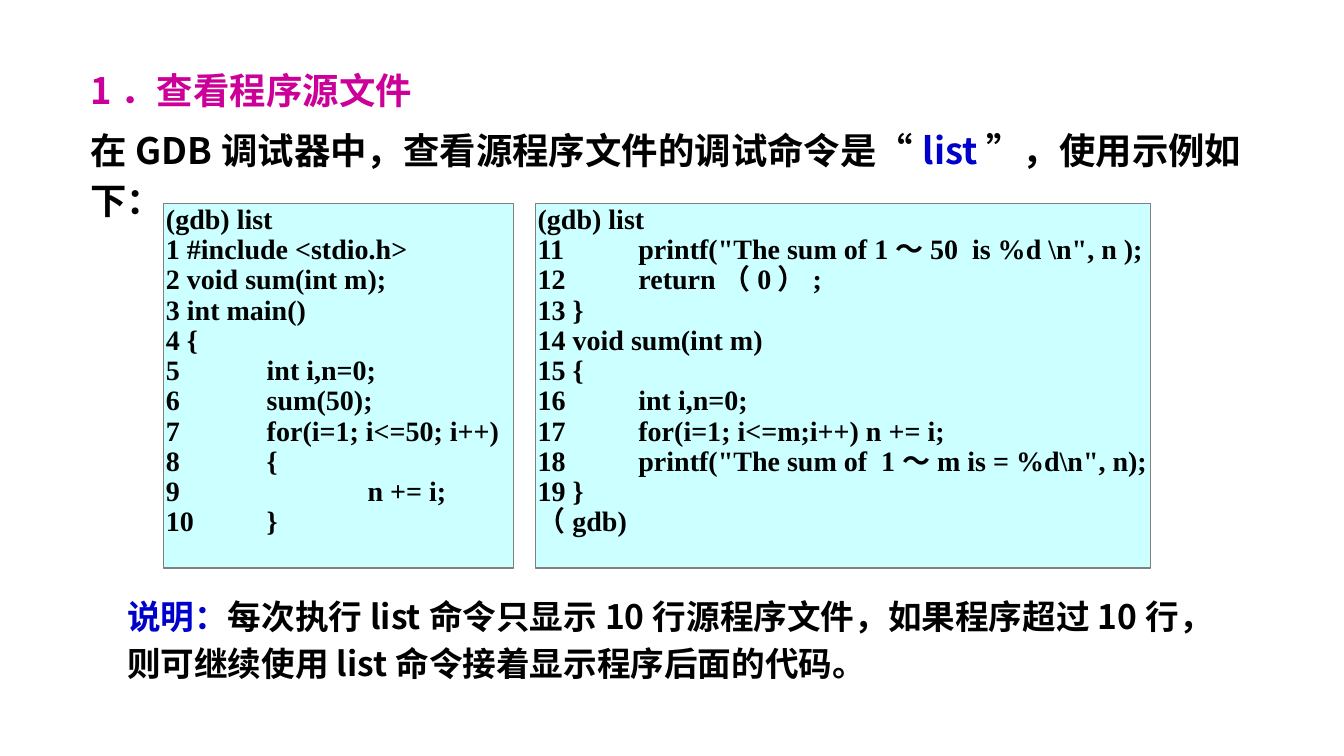
import pptx
import pptx.util
import pptx.dml.color
import pptx.enum.shapes
import pptx.enum.text
import pptx.oxml.ns
from lxml import etree

BLACK, BLUE, MAGENTA = "000000", "0000CC", "CC0099"
SANS, SERIF = "Noto Sans CJK SC", "Times New Roman"
HEADING = [
    [("1．查看程序源文件", MAGENTA)],
    [("在GDB调试器中，查看源程序文件的调试命令是“", BLACK), ("list", BLUE),
     ("”，使用示例如下：", BLACK)],
]
NOTE = [
    [("说明：", BLUE),
     ("每次执行list命令只显示10行源程序文件，如果程序超过10行，则可继续使用list命令接着显示程序后面的代码。", BLACK)],
]
LISTINGS = [
    ((156, 194, 333, 347), [
        "(gdb) list",
        "1 #include <stdio.h>",
        "2 void sum(int m);",
        "3 int main()",
        "4 {",
        "5 \tint i,n=0;",
        "6 \tsum(50);",
        "7 \tfor(i=1; i<=50; i++)",
        "8 \t{",
        "9 \t\tn += i;",
        "10 \t}",
    ]),
    ((510, 194, 586, 347), [
        "(gdb) list",
        "11 \tprintf(\"The sum of 1～50  is %d \\n\", n );",
        "12\treturn（0）;",
        "13 }",
        "14 void sum(int m)",
        "15 {",
        "16 \tint i,n=0;",
        "17 \tfor(i=1; i<=m;i++) n += i;",
        "18 \tprintf(\"The sum of  1～m is = %d\\n\", n);",
        "19 }",
        "（gdb)",
    ]),
]
TAB_STOPS = (96, 192)
HEADING_STYLE = {"font": SANS, "size": 26, "spacing": 1.15, "gap": 6.5,
                 "insets": (10, 5, 10, 5)}
NOTE_STYLE = {"font": SANS, "size": 24, "spacing": 1.15, "gap": 6,
              "insets": (10, 5, 10, 5)}
CODE_STYLE = {"font": SERIF, "size": 20, "spacing": 0.9, "gap": 0,
              "insets": (2, 1, 2, 1)}


def px(n):
    return pptx.util.Emu(n * 9525)


def rgb(value):
    return pptx.dml.color.RGBColor.from_string(value)


def assign(target, values):
    for name, value in values.items():
        setattr(target, name, value)


def place(sp, box):
    assign(sp, dict(zip(("left", "top", "width", "height"), map(px, box))))


def add_tabs(p):
    tabs = etree.SubElement(p._p.get_or_add_pPr(), pptx.oxml.ns.qn("a:tabLst"))
    for stop in TAB_STOPS:
        tab = etree.SubElement(tabs, pptx.oxml.ns.qn("a:tab"))
        tab.set("pos", str(px(stop)))
        tab.set("algn", "l")


def write(sp, paragraphs, style):
    tf, size = sp.text_frame, style["size"]
    assign(tf, {
        "word_wrap": True,
        "auto_size": pptx.enum.text.MSO_AUTO_SIZE.NONE,
        "vertical_anchor": pptx.enum.text.MSO_ANCHOR.TOP,
    })
    sides = ("margin_left", "margin_top", "margin_right", "margin_bottom")
    assign(tf, dict(zip(sides, map(px, style["insets"]))))
    for i, runs in enumerate(paragraphs):
        p = tf.add_paragraph() if i else tf.paragraphs[0]
        assign(p, {
            "alignment": pptx.enum.text.PP_ALIGN.LEFT,
            "line_spacing": pptx.util.Pt(size * 1.2 * style["spacing"]),
            "space_before": pptx.util.Pt(style["gap"] if i else 0),
        })
        if any("\t" in text for text, color in runs):
            add_tabs(p)
        for text, color in runs:
            r = p.add_run()
            r.text = text
            assign(r.font, {"name": style["font"], "size": pptx.util.Pt(size), "bold": True})
            r.font.color.rgb = rgb(color)
            ea = etree.SubElement(r.font._element, pptx.oxml.ns.qn("a:ea"))
            ea.set("typeface", SANS)


def main():
    prs = pptx.Presentation()
    assign(prs, {"slide_width": px(1280), "slide_height": px(720)})
    s = prs.slides.add_slide(prs.slide_layouts[5])

    place(s.shapes.title, (76, 54, 1127, 110))
    write(s.shapes.title, HEADING, HEADING_STYLE)

    for box, lines in LISTINGS:
        sp = s.shapes.add_shape(pptx.enum.shapes.MSO_SHAPE.RECTANGLE, *map(px, box))
        sp.shadow.inherit = False
        sp.fill.solid()
        sp.fill.fore_color.rgb = rgb("CCFFFF")
        sp.line.color.rgb = rgb("808080")
        sp.line.width = pptx.util.Pt(0.75)
        write(sp, [[(line, BLACK)] for line in lines], CODE_STYLE)

    note = s.shapes.add_textbox(*map(px, (111, 557, 1057, 93)))
    write(note, NOTE, NOTE_STYLE)
    prs.save("out.pptx")


if __name__ == "__main__":
    main()
